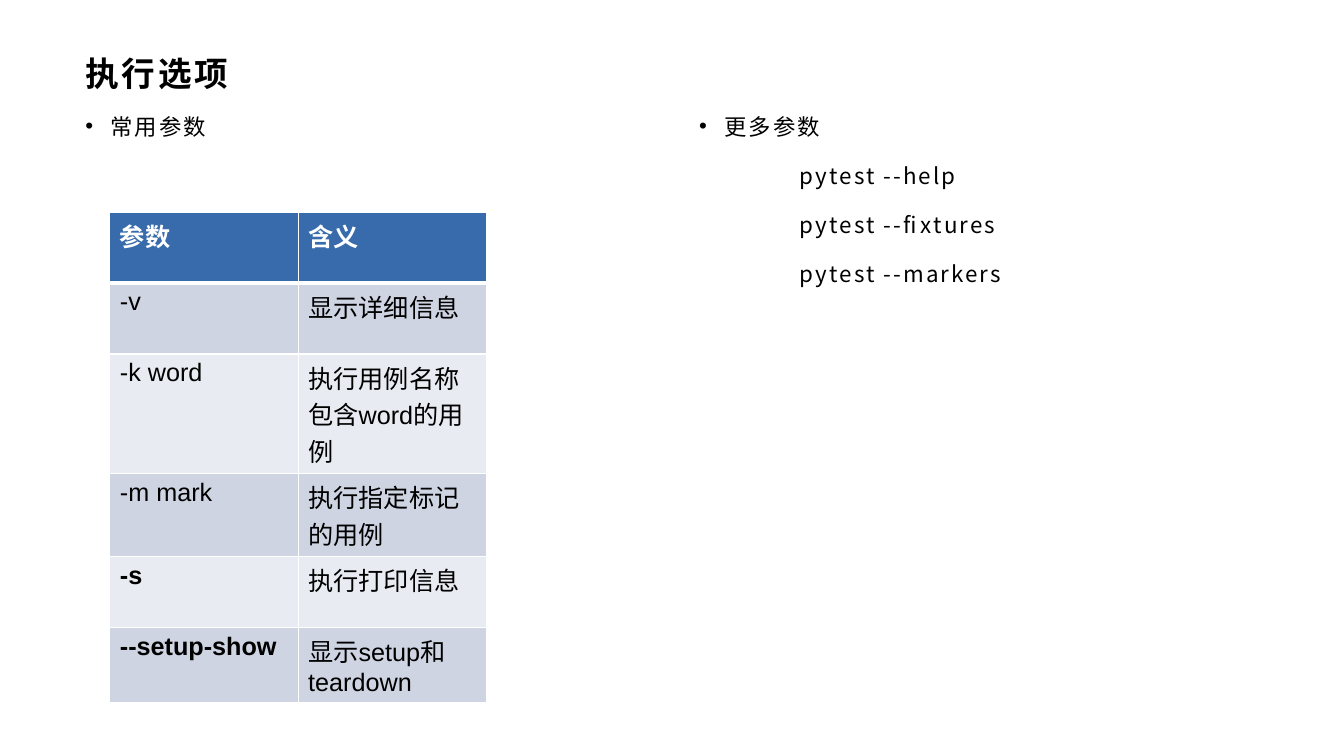
import pptx
import pptx.util
import pptx.dml.color
import pptx.enum.text
import pptx.oxml.ns
import lxml.etree

Pt = pptx.util.Pt
RGB = pptx.dml.color.RGBColor.from_string
qn = pptx.oxml.ns.qn
CJK = "Noto Sans CJK SC"
HEX = {"ink": "000000", "white": "FFFFFF", "head": "376BAB",
       "dark": "CED4E2", "light": "E8EBF1"}


def add_run(para, text, size, font, color="ink", bold=False, gap=0):
    run = para.add_run()
    run.text = text
    run.font.size = Pt(size)
    run.font.name = font
    run.font.bold = bold
    run.font.color.rgb = RGB(HEX[color])
    props = run.font._element
    lxml.etree.SubElement(props, qn("a:ea"), typeface=CJK)
    if gap:
        props.set("spc", str(gap))


def add_box(left, top, width, height, pad):
    frame = slide.shapes.add_textbox(Pt(left), Pt(top), Pt(width), Pt(height)).text_frame
    frame.word_wrap = True
    frame.margin_left, frame.margin_right = Pt(8), Pt(6)
    frame.margin_top = frame.margin_bottom = Pt(pad)
    return frame


deck = pptx.Presentation()
deck.slide_width, deck.slide_height = Pt(960), Pt(540)
slide = deck.slides.add_slide(deck.slide_layouts[6])

# Title
title = add_box(53, 34.6, 854.6, 34.6, 3)
title.vertical_anchor = pptx.enum.text.MSO_ANCHOR.MIDDLE
add_run(title.paragraphs[0], "执行选项", 24, CJK, bold=True, gap=200)

# Two columns: a bullet, then commands at a one-inch tab stop
columns = [
    (53, ["常用参数"]),
    (491.4, ["更多参数", "\tpytest --help", "\tpytest --fixtures", "\tpytest --markers"]),
]
for left, lines in columns:
    body = add_box(left, 74.9, 416.2, 424, 0)
    for i, line in enumerate(lines):
        para = body.paragraphs[0] if i == 0 else body.add_paragraph()
        para.line_spacing = 1.3
        para.space_after = Pt(10)
        add_run(para, line, 16, CJK, gap=150)
        props = para._p.get_or_add_pPr()
        if i == 0:
            props.set("marL", str(Pt(18)))
            props.set("indent", str(Pt(-18)))
            lxml.etree.SubElement(props, qn("a:buFont"), typeface="Arial")
            lxml.etree.SubElement(props, qn("a:buChar"), char="•")
        else:
            tabs = lxml.etree.SubElement(props, qn("a:tabLst"))
            lxml.etree.SubElement(tabs, qn("a:tab"), pos=str(Pt(72)), algn="l")

# Option table: row height, option, meaning
rows = [
    (50.7, "参数", "含义"),
    (50.7, "-v", "显示详细信息"),
    (85.4, "-k word", "执行用例名称包含word的用例"),
    (59.3, "-m mark", "执行指定标记的用例"),
    (50.7, "-s", "执行打印信息"),
    (53.3, "--setup-show", "显示setup和teardown"),
]
strong = {"-s", "--setup-show"}
total = sum(row[0] for row in rows)
table = slide.shapes.add_table(len(rows), 2, Pt(78.5), Pt(151.5), Pt(269), Pt(total)).table
for r, (height, *texts) in enumerate(rows):
    table.rows[r].height = Pt(height)
    fill = "head" if r == 0 else ("dark" if r % 2 else "light")
    for c, text in enumerate(texts):
        cell = table.cell(r, c)
        add_run(cell.text_frame.paragraphs[0], text, 18, "Arial",
                "ink" if r else "white", r == 0 or text in strong)
        # Borders come before the fill in the cell properties
        props = cell._tc.get_or_add_tcPr()
        for side in ("lnL", "lnR", "lnT", "lnB"):
            thick = (r == 0 and side == "lnB") or (r == 1 and side == "lnT")
            line = lxml.etree.SubElement(props, qn("a:" + side), w=str(Pt(3 if thick else 1)))
            solid = lxml.etree.SubElement(line, qn("a:solidFill"))
            lxml.etree.SubElement(solid, qn("a:srgbClr"), val=HEX["white"])
        cell.fill.solid()
        cell.fill.fore_color.rgb = RGB(HEX[fill])

deck.save("out.pptx")
